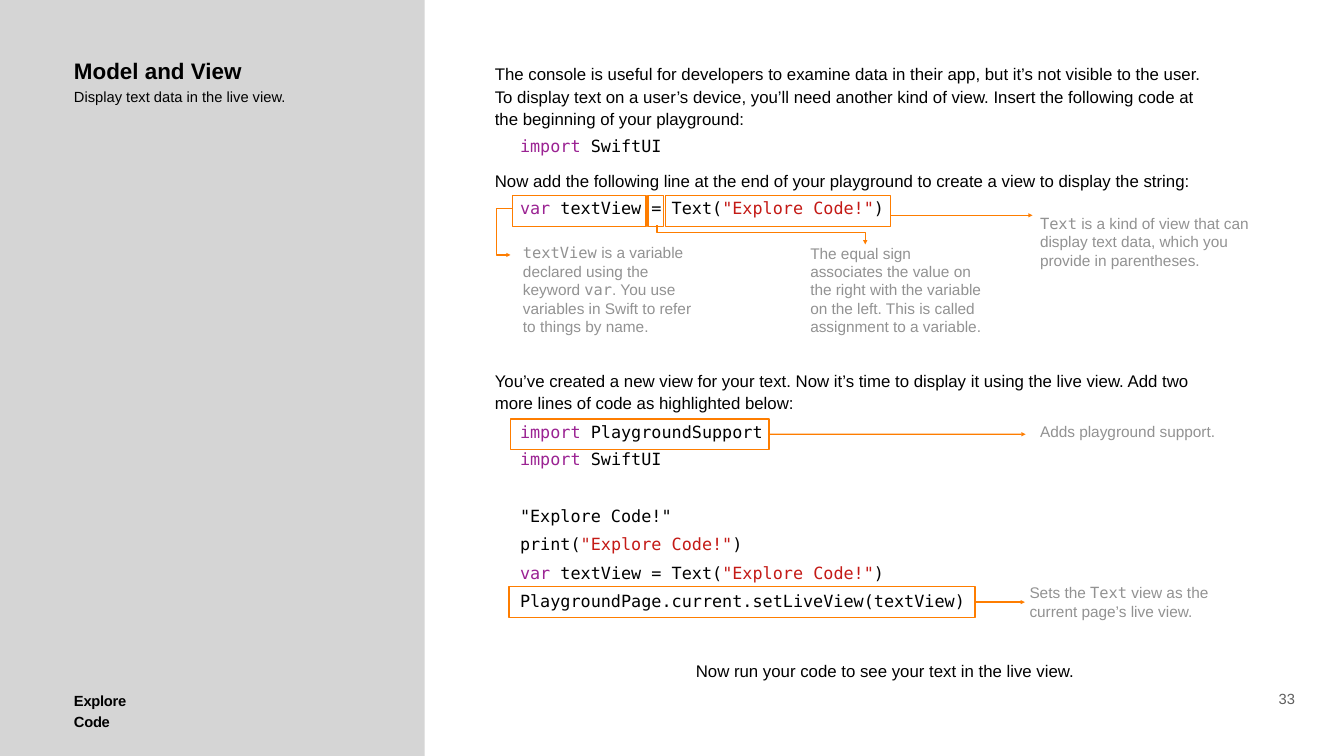
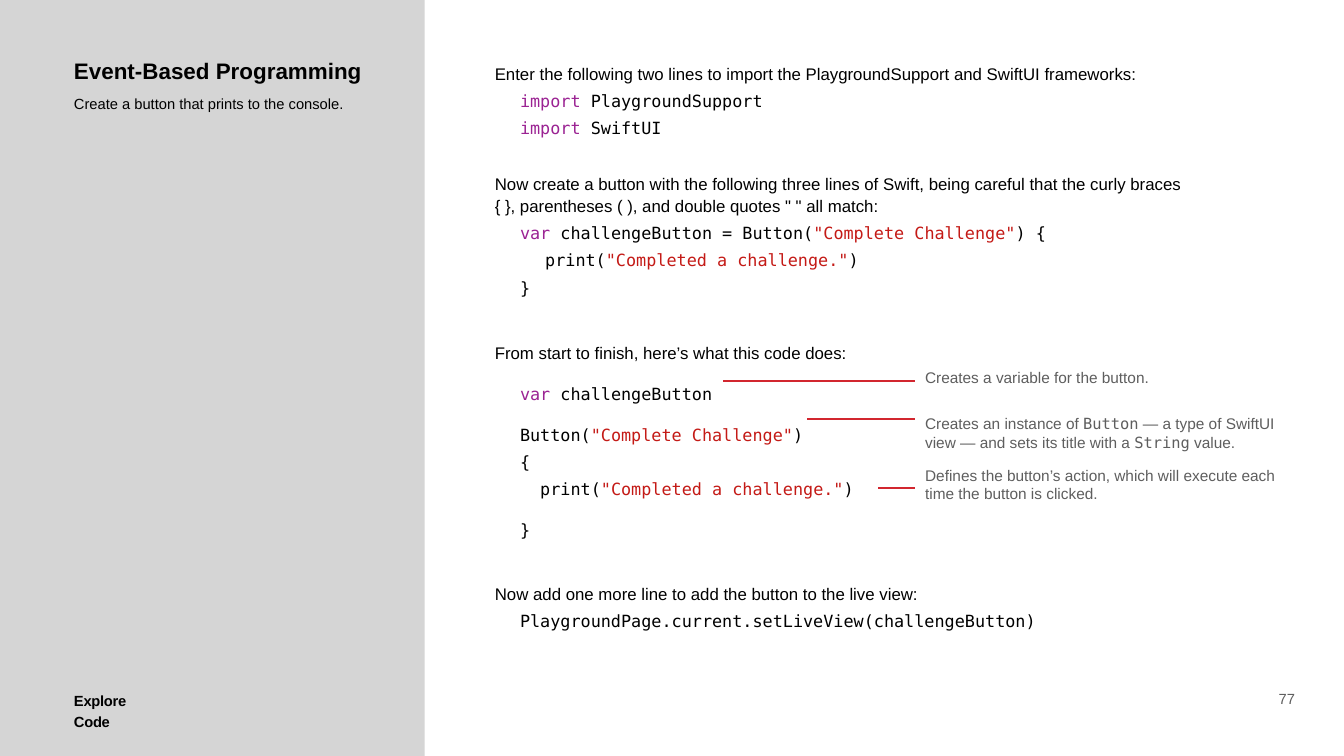
from dataclasses import dataclass
from typing import NamedTuple

from pptx import Presentation
from pptx.dml.color import RGBColor
from pptx.enum.shapes import MSO_CONNECTOR, MSO_SHAPE
from pptx.enum.text import MSO_ANCHOR, PP_ALIGN
from pptx.oxml.ns import qn
from pptx.util import Cm, Pt
from lxml import etree

STRAIGHT = MSO_CONNECTOR.STRAIGHT
RECTANGLE, ROUNDED = MSO_SHAPE.RECTANGLE, MSO_SHAPE.ROUNDED_RECTANGLE
TOP, MIDDLE, BOTTOM = MSO_ANCHOR.TOP, MSO_ANCHOR.MIDDLE, MSO_ANCHOR.BOTTOM
LEFT, CENTER = PP_ALIGN.LEFT, PP_ALIGN.CENTER
RIGHT_SIDE = 3

SANS, MONO = "Arial", "DejaVu Sans Mono"
COLORS = {
    "sidebar": "D5D5D5",
    "text": "000000",
    "keyword": "9B2393",
    "string": "C41A16",
    "note": "929292",
    "dark_note": "5E5E5E",
    "callout": "FE7D00",
    "pointer": "D2262F",
}
CODE_INDENT = 1.27
BOX_HEIGHT = 1.55
BODY_LEFT = 24.79


class Style(NamedTuple):
    font: str
    size: float
    color: str = "text"
    bold: bool = False
    tracking: float = 0


class Run(NamedTuple):
    text: str
    style: Style


class Area(NamedTuple):
    left: float
    top: float
    width: float
    height: float


@dataclass
class Para:
    runs: list[Run]
    before: float = 0
    spacing: float | Pt | None = None
    level: int = 0
    align: PP_ALIGN = LEFT


@dataclass
class Note:
    area: Area
    runs: list[Run]


TITLE = Style(SANS, 32, bold=True)
SMALL = Style(SANS, 21)
FOOTER = Style(SANS, 21, bold=True, tracking=-0.4)
PAGE = Style(SANS, 21, "dark_note")
PROSE = Style(SANS, 24)
PLAIN = Style(MONO, 24)
KEYWORD = Style(MONO, 24, "keyword")
STRING = Style(MONO, 24, "string")
NOTE, NOTE_CODE = Style(SANS, 22, "note"), Style(MONO, 22, "note")
DARK, DARK_CODE = Style(SANS, 22, "dark_note"), Style(MONO, 22, "dark_note")


def rgb(name: str) -> RGBColor:
    return RGBColor.from_string(COLORS[name])


def prose(text: str, before: float = 17) -> Para:
    return Para([Run(text, PROSE)], before, Pt(32))


def code(*parts: str | Run, before: float = 10, level: int = 1) -> Para:
    """Make a code line; bare strings take the plain code style."""
    runs = [part if isinstance(part, Run) else Run(part, PLAIN) for part in parts]
    return Para(runs, before, level=level)


def keyword(text: str) -> Run:
    return Run(text, KEYWORD)


def string(text: str) -> Run:
    return Run(f'"{text}"', STRING)


def add_text(s, area: Area, paras: list[Para], anchor: MSO_ANCHOR = TOP,
             inset: float = 0.2, wrap: bool = True) -> None:
    tf = s.shapes.add_textbox(*map(Cm, area)).text_frame
    tf.word_wrap = wrap
    tf.vertical_anchor = anchor
    tf.margin_left = tf.margin_right = tf.margin_top = tf.margin_bottom = Cm(inset)
    for i, para in enumerate(paras):
        p = tf.add_paragraph() if i else tf.paragraphs[0]
        p.alignment = para.align
        p.space_before = Pt(para.before)
        if para.spacing:
            p.line_spacing = para.spacing
        if para.level:
            p.level = para.level
            pPr = p._p.get_or_add_pPr()
            pPr.set("marL", str(Cm(CODE_INDENT * para.level)))
            pPr.set("indent", "0")
        for text, style in para.runs:
            r = p.add_run()
            r.text = text
            r.font.name = style.font
            r.font.size = Pt(style.size)
            r.font.bold = style.bold
            r.font.color.rgb = rgb(style.color)
            if style.tracking:
                r._r.get_or_add_rPr().set("spc", str(round(style.tracking * 100)))


def add_body(s, top: float, width: float, height: float, paras: list[Para]) -> None:
    add_text(s, Area(BODY_LEFT, top, width, height), paras, inset=0.15)


def style_line(shape, color: str, arrow: bool) -> None:
    shape.line.color.rgb = rgb(color)
    shape.line.width = Pt(2)
    if arrow:
        etree.SubElement(shape.line._get_or_add_ln(), qn("a:tailEnd"), type="triangle")


def add_line(s, x1: float, x2: float, y: float, color: str,
             arrow: bool = False, box=None):
    """Draw a level line, starting at the right side of box if one is given."""
    line = s.shapes.add_connector(STRAIGHT, Cm(x1), Cm(y), Cm(x2), Cm(y))
    if box is not None:
        line.begin_connect(box, RIGHT_SIDE)
    style_line(line, color, arrow)
    etree.SubElement(line._element.spPr, qn("a:effectLst"))


def add_elbow(s, points: list[tuple[float, float]]) -> None:
    start, *rest = [(Cm(x), Cm(y)) for x, y in points]
    builder = s.shapes.build_freeform(*start)
    builder.add_line_segments(rest, close=False)
    shape = builder.convert_to_shape()
    shape.shadow.inherit = False
    shape.fill.background()
    style_line(shape, "callout", arrow=True)


def add_code_box(s, left: float, top: float, width: float):
    box = s.shapes.add_shape(ROUNDED, Cm(left), Cm(top), Cm(width), Cm(BOX_HEIGHT))
    box.adjustments[0] = 0
    box.shadow.inherit = False
    box.fill.background()
    style_line(box, "callout", arrow=False)
    return box


def add_page(prs, title: str, subtitle: str, subtitle_gap: float, number: int):
    """Add a slide with the sidebar, heading, footer and page number."""
    s = prs.slides.add_slide(prs.slide_layouts[6])
    sidebar = s.shapes.add_shape(RECTANGLE, 0, 0, Cm(21.4), prs.slide_height)
    sidebar.shadow.inherit = False
    sidebar.fill.solid()
    sidebar.fill.fore_color.rgb = rgb("sidebar")
    sidebar.line.fill.background()
    add_text(s, Area(3.53, 2.69, 14.99, 3.07), [
        Para([Run(title, TITLE)]),
        Para([Run(subtitle, SMALL)], subtitle_gap, 1.1),
    ])
    add_text(s, Area(3.53, 34.49, 5, 1.3),
             [Para([Run("Explore Code", FOOTER)], spacing=1.2)], wrap=False)
    add_text(s, Area(64.24, 34.57, 1.24, 1.27),
             [Para([Run(str(number), PAGE)], align=CENTER)], BOTTOM, wrap=False)
    return s


def build_model_and_view(prs) -> None:
    s = add_page(prs, "Model and View", "Display text data in the live view.", 2, 33)
    text_view = [keyword("var"), " textView = Text(", string("Explore Code!"), ")"]
    add_body(s, 2.97, 36.47, 8.33, [
        prose("The console is useful for developers to examine data in their app, "
              "but it’s not visible to the user. To display text on a user’s device, "
              "you’ll need another kind of view. Insert the following code at the "
              "beginning of your playground:", before=0),
        code(keyword("import "), "SwiftUI"),
        prose("Now add the following line at the end of your playground to create "
              "a view to display the string:"),
        code(*text_view),
    ])
    add_body(s, 18.42, 36.47, 13.94, [
        prose("You’ve created a new view for your text. Now it’s time to display it "
              "using the live view. Add two more lines of code as highlighted below:",
              before=0),
        code(keyword("import "), "PlaygroundSupport", before=12),
        code(keyword("import "), "SwiftUI"),
        code('"Explore Code!"', before=52),
        code("print(", string("Explore Code!"), ")", before=12),
        code(*text_view, before=12),
        code("PlaygroundPage.current.setLiveView(textView)", before=12),
    ])
    add_text(s, Area(34.87, 32.99, 23.57, 1.47),
             [prose("Now run your code to see your text in the live view.", before=0)],
             MIDDLE)

    for left, width in ((25.83, 6.73), (32.66, 0.79), (33.55, 11.33)):
        add_code_box(s, left, 9.86, width)
    add_line(s, 44.91, 52.04, 10.85, "callout", arrow=True)
    for left, top, width, tip in ((25.73, 21.11, 13.03, 51.69),
                                  (25.65, 29.57, 23.5, 51.66)):
        box = add_code_box(s, left, top, width)
        add_line(s, left + width, tip, top + BOX_HEIGHT / 2, "callout", True, box)
    add_elbow(s, [(25.83, 10.52), (25.02, 10.52), (25.02, 12.85), (25.73, 12.85)])
    add_elbow(s, [(33.12, 11.35), (33.12, 11.71), (43.61, 11.71), (43.61, 12.32)])

    notes = [
        Note(Area(26.16, 12.01, 8.99, 5.18), [
            Run("textView", NOTE_CODE),
            Run(" is a variable declared using the keyword ", NOTE),
            Run("var", NOTE_CODE),
            Run(". You use variables in Swift to refer to things by name.", NOTE)]),
        Note(Area(40.64, 12.04, 9.3, 5.13), [
            Run("The equal sign associates the value on the right with the variable "
                "on the left. This is called assignment to a variable.", NOTE)]),
        Note(Area(52.22, 10.08, 11.2, 4.19), [
            Run("Text", NOTE_CODE),
            Run(" is a kind of view that can display text data, which you provide "
                "in parentheses.", NOTE)]),
        Note(Area(52.22, 21.08, 11.2, 1.32), [Run("Adds playground support.", NOTE)]),
        Note(Area(51.69, 29.18, 11.2, 2.29), [
            Run("Sets the ", NOTE), Run("Text", NOTE_CODE),
            Run(" view as the current page’s live view.", NOTE)]),
    ]
    for note in notes:
        add_text(s, note.area, [Para(note.runs)], MIDDLE)


def build_event_based(prs) -> None:
    s = add_page(prs, "Event-Based Programming",
                 "Create a button that prints to the console.", 12, 77)
    title, message = string("Complete Challenge"), string("Completed a challenge.")
    add_body(s, 2.95, 35.71, 28.88, [
        prose("Enter the following two lines to import the PlaygroundSupport and "
              "SwiftUI frameworks:", before=0),
        code(keyword("import "), "PlaygroundSupport"),
        code(keyword("import"), " SwiftUI"),
        prose("Now create a button with the following three lines of Swift, being "
              "careful that the curly braces { }, parentheses ( ), and double quotes "
              '" " all match:', before=47),
        code(keyword("var "), "challengeButton = Button(", title, ") {"),
        code("print(", message, ")", level=2),
        code("}"),
        prose("From start to finish, here’s what this code does:", before=61),
        code(keyword("var "), "challengeButton", before=30),
        code("Button(", title, ")", before=30),
        code("{"),
        code("  print(", message, ")"),
        code("}", before=30),
        prose("Now add one more line to add the button to the live view:", before=59),
        code("PlaygroundPage.current.setLiveView(challengeButton)"),
    ])
    add_text(s, Area(46.43, 18.34, 18.59, 7.32), [
        Para([Run("Creates a variable for the button.", DARK)]),
        Para([Run("Creates an instance of ", DARK), Run("Button", DARK_CODE),
              Run(" — a type of SwiftUI view — and sets its title with a ", DARK),
              Run("String", DARK_CODE), Run(" value.", DARK)], 40),
        Para([Run("Defines the button’s action, which will execute each time the "
                  "button is clicked.", DARK)], 21),
    ])
    for start, y in ((36.45, 19.2), (40.69, 21.11), (44.27, 24.59)):
        add_line(s, start, 46.1, y, "pointer")


def main() -> None:
    prs = Presentation()
    prs.slide_width, prs.slide_height = Cm(67.74), Cm(38.1)
    build_model_and_view(prs)
    build_event_based(prs)
    prs.save("out.pptx")


if __name__ == "__main__":
    main()
